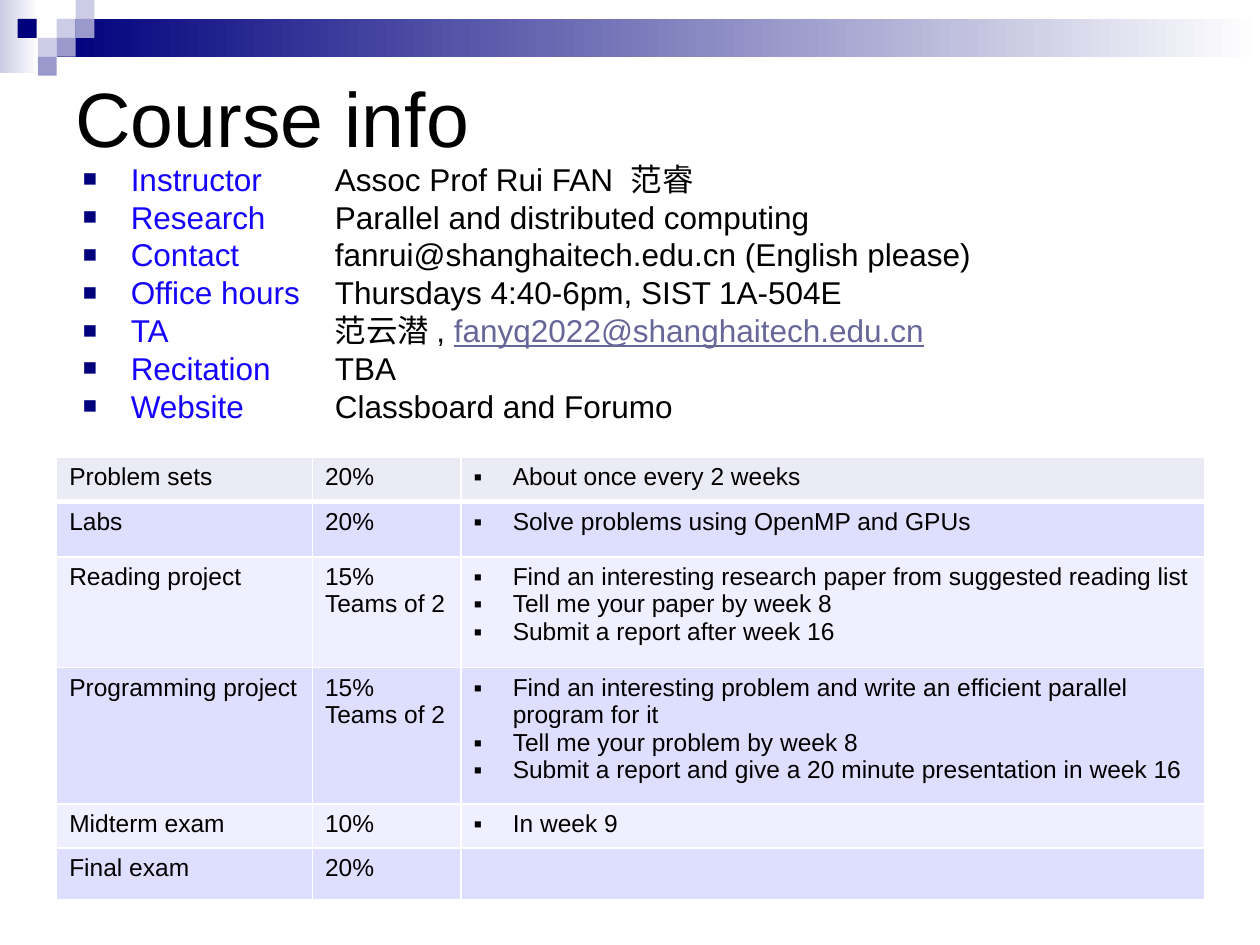
from dataclasses import dataclass

import pptx
import pptx.dml.color
import pptx.enum.dml
import pptx.enum.shapes
import pptx.enum.text
import pptx.oxml.ns
import pptx.oxml.xmlchemy
import pptx.shapes.shapetree
import pptx.table
import pptx.text.text
import pptx.util
from lxml import etree

Inches = pptx.util.Inches
Pt = pptx.util.Pt
qn = pptx.oxml.ns.qn

COLORS = {
    "navy": "00007D",
    "lavender": "CCCCE6",
    "periwinkle": "9999CC",
    "label": "1503FB",
    "email": "666699",
    "black": "000000",
    "white": "FFFFFF",
    "first_row": "EBEBF5",
    "odd_row": "DEDEFF",
    "even_row": "EFEFFF",
}
LATIN = "Arial"
CHINESE = "Noto Sans CJK SC"


@dataclass(frozen=True)
class Block:
    left: float
    top: float
    color: str
    width: float = 0.15
    height: float = 0.15
    fade: bool = False


@dataclass(frozen=True)
class Piece:
    text: str
    color: str = "black"
    font: str = LATIN
    underline: bool = False


@dataclass(frozen=True)
class Fact:
    label: str
    pieces: tuple[Piece, ...]
    tabs: str = "\t"


@dataclass(frozen=True)
class Assessment:
    name: str
    weight: tuple[str, ...]
    details: tuple[str, ...]
    height: float


BANNER = (
    Block(0, 0, "lavender", 0.31, 0.58, True),
    Block(0.45, 0.15, "navy", 9.55, 0.3, True),
    Block(0.45, 0.15, "lavender"),
    Block(0.6, 0, "lavender"),
    Block(0.6, 0.15, "periwinkle"),
    Block(0.3, 0.3, "lavender"),
    Block(0.14, 0.15, "navy"),
    Block(0.45, 0.3, "periwinkle"),
    Block(0.3, 0.45, "periwinkle"),
)
FACTS = (
    Fact("Instructor ", (Piece("Assoc Prof Rui FAN  "), Piece("范睿", font=CHINESE))),
    Fact("Research ", (Piece("Parallel and distributed computing"),)),
    Fact("Contact ", (Piece("fanrui@shanghaitech.edu.cn (English please)"),)),
    Fact("Office hours ", (Piece("Thursdays 4:40-6pm, SIST 1A-504E"),)),
    Fact("TA", (
        Piece("范云潜", font=CHINESE),
        Piece(" , "),
        Piece("fanyq2022@shanghaitech.edu.cn", "email", underline=True),
    ), "\t\t"),
    Fact("Recitation ", (Piece("TBA"),)),
    Fact("Website ", (Piece("Classboard and Forumo"),)),
)
ASSESSMENTS = (
    Assessment("Problem sets", ("20%",), ("About once every 2 weeks",), 0.35),
    Assessment("Labs", ("20%",), ("Solve problems using OpenMP and GPUs",), 0.44),
    Assessment("Reading project", ("15%", "Teams of 2"), (
        "Find an interesting research paper from suggested reading list",
        "Tell me your paper by week 8",
        "Submit a report after week 16",
    ), 0.88),
    Assessment("Programming project", ("15%", "Teams of 2"), (
        "Find an interesting problem and write an efficient parallel program for it",
        "Tell me your problem by week 8",
        "Submit a report and give a 20 minute presentation in week 16",
    ), 1.08),
    Assessment("Midterm exam", ("10%",), ("In week 9",), 0.35),
    Assessment("Final exam", ("20%",), (), 0.41),
)
COLUMN_WIDTHS = (2.03, 1.18, 5.9)


def rgb(color: str) -> pptx.dml.color.RGBColor:
    return pptx.dml.color.RGBColor.from_string(COLORS[color])


def add_text(paragraph: pptx.text.text._Paragraph, text: str, *, size: float,
             color: str = "black", font: str = LATIN, underline: bool = False) -> None:
    run = paragraph.add_run()
    run.text = text
    run.font.size = Pt(size)
    run.font.name = font
    run.font.color.rgb = rgb(color)
    if underline:
        run.font.underline = True
    if font == CHINESE:
        etree.SubElement(run.font._element, qn("a:ea"), typeface=font)


def set_bullet(paragraph: pptx.text.text._Paragraph, mark: str, indent: float,
               color: str = "black", percent: int = 100) -> None:
    properties = paragraph._p.get_or_add_pPr()
    properties.set("marL", str(Inches(indent)))
    properties.set("indent", str(-Inches(indent)))
    properties.set("defTabSz", str(Inches(1)))
    bullet_color = etree.SubElement(properties, qn("a:buClr"))
    etree.SubElement(bullet_color, qn("a:srgbClr"), val=COLORS[color])
    etree.SubElement(properties, qn("a:buSzPct"), val=str(percent * 1000))
    etree.SubElement(properties, qn("a:buFont"), typeface=LATIN)
    etree.SubElement(properties, qn("a:buChar"), char=mark)


def next_paragraph(frame: pptx.text.text.TextFrame, index: int) -> pptx.text.text._Paragraph:
    return frame.add_paragraph() if index else frame.paragraphs[0]


def add_frame(shapes: pptx.shapes.shapetree.SlideShapes, left: float, top: float,
              width: float, height: float) -> pptx.text.text.TextFrame:
    frame = shapes.add_textbox(Inches(left), Inches(top), Inches(width), Inches(height)).text_frame
    frame.word_wrap = True
    return frame


def draw_block(shapes: pptx.shapes.shapetree.SlideShapes, block: Block) -> None:
    square = shapes.add_shape(
        pptx.enum.shapes.MSO_SHAPE.RECTANGLE,
        Inches(block.left), Inches(block.top), Inches(block.width), Inches(block.height))
    square.shadow.inherit = False
    square.line.fill.background()
    if block.fade:
        square.fill.gradient()
        square.fill.gradient_angle = 0
        for stop, color in zip(square.fill.gradient_stops, (block.color, "white")):
            stop.color.rgb = rgb(color)
    else:
        square.fill.solid()
        square.fill.fore_color.rgb = rgb(block.color)


def draw_facts(shapes: pptx.shapes.shapetree.SlideShapes) -> None:
    frame = add_frame(shapes, 0.56, 1.22, 9.03, 2.16)
    for index, fact in enumerate(FACTS):
        paragraph = next_paragraph(frame, index)
        set_bullet(paragraph, "■", 0.38, "navy", 75)
        paragraph.line_spacing = Pt(21.6)
        add_text(paragraph, fact.label + fact.tabs, size=18, color="label")
        for piece in fact.pieces:
            add_text(paragraph, piece.text, size=18, color=piece.color,
                     font=piece.font, underline=piece.underline)


def style_cell(cell: pptx.table._Cell, color: str, top: float, bottom: float) -> None:
    properties = cell._tc.get_or_add_tcPr()
    for side, width in (("L", 1), ("R", 1), ("T", top), ("B", bottom)):
        border = etree.SubElement(properties, qn(f"a:ln{side}"), w=str(Pt(width)))
        fill = etree.SubElement(border, qn("a:solidFill"))
        etree.SubElement(fill, qn("a:srgbClr"), val=COLORS["white"])
    cell.fill.solid()
    cell.fill.fore_color.rgb = rgb(color)


def draw_assessments(shapes: pptx.shapes.shapetree.SlideShapes) -> None:
    grid = shapes.add_table(
        len(ASSESSMENTS), len(COLUMN_WIDTHS), Inches(0.45), Inches(3.63),
        Inches(sum(COLUMN_WIDTHS)), Inches(sum(item.height for item in ASSESSMENTS))).table
    for column, width in zip(grid.columns, COLUMN_WIDTHS):
        column.width = Inches(width)
    for row, item in enumerate(ASSESSMENTS):
        grid.rows[row].height = Inches(item.height)
        color = "first_row" if row == 0 else ("even_row", "odd_row")[row % 2]
        for column, lines in enumerate(((item.name,), item.weight, item.details)):
            cell = grid.cell(row, column)
            style_cell(cell, color, 3 if row == 1 else 1, 3 if row == 0 else 1)
            if not lines:
                cell.text_frame.paragraphs[0].font.size = Pt(14)
            for index, line in enumerate(lines):
                paragraph = next_paragraph(cell.text_frame, index)
                if column == 2:
                    set_bullet(paragraph, "▪", 0.31)
                add_text(paragraph, line, size=14)


def main() -> None:
    deck = pptx.Presentation()
    deck.slide_width, deck.slide_height = Inches(10), Inches(7.5)
    shapes = deck.slides.add_slide(deck.slide_layouts[6]).shapes
    for block in BANNER:
        draw_block(shapes, block)
    title = add_frame(shapes, 0.5, 0.5, 9, 0.86)
    title.vertical_anchor = pptx.enum.text.MSO_ANCHOR.MIDDLE
    add_text(title.paragraphs[0], "Course info", size=44)
    draw_facts(shapes)
    draw_assessments(shapes)
    deck.save("out.pptx")


if __name__ == "__main__":
    main()
